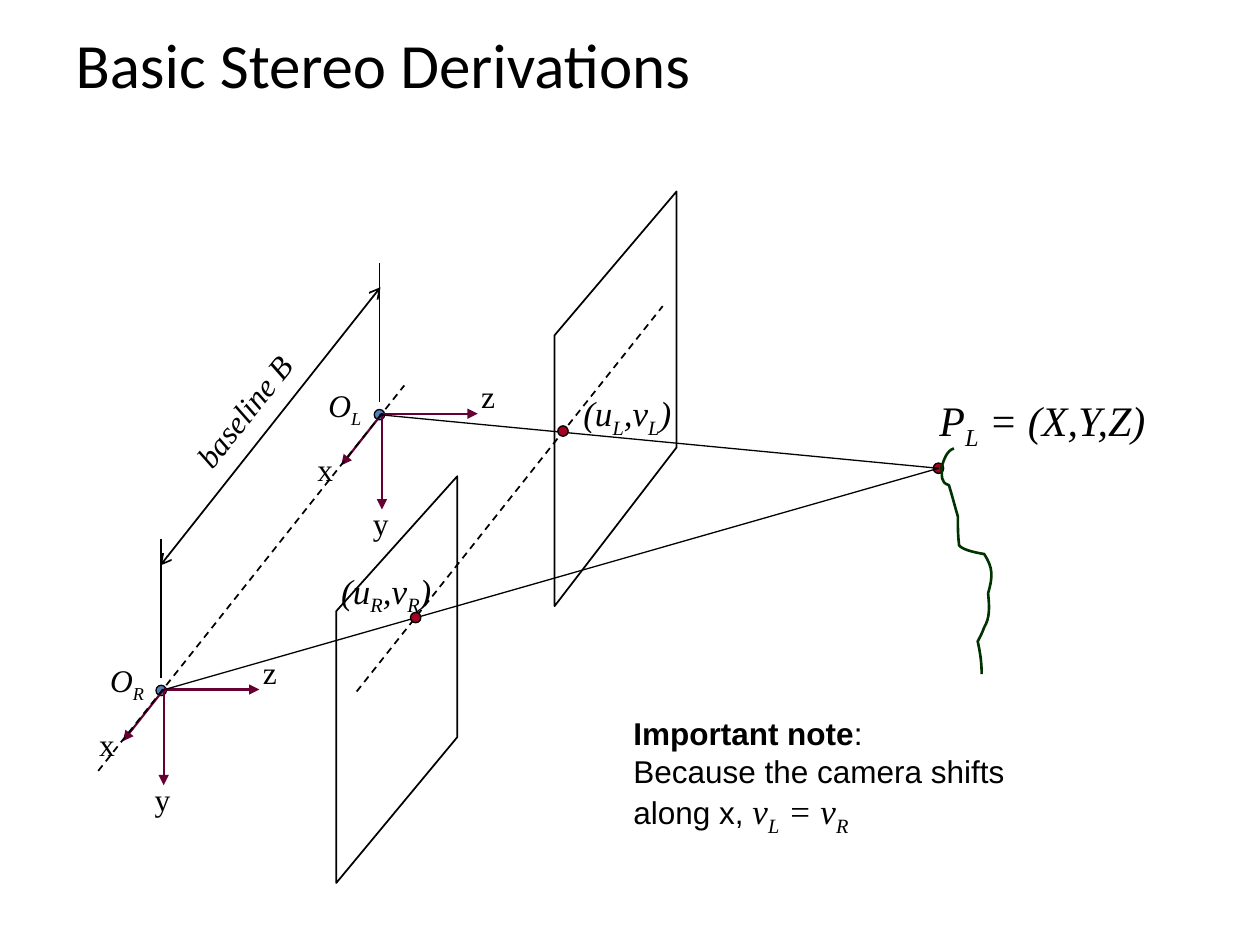
import pptx
import pptx.util
import pptx.dml.color
import pptx.enum.dml
import pptx.enum.shapes
import pptx.enum.text
import pptx.oxml.ns
from lxml import etree

Cm, Pt = pptx.util.Cm, pptx.util.Pt
qn = pptx.oxml.ns.qn
BLACK, RED, BLUE, PLUM, GREEN = "000000", "A50021", "4F81BD", "660033", "003300"
SERIF = "Times New Roman"

# Curve of the object's surface: a start, then two handles and an end per piece
SURFACE = [
    (.28, 0),
    (.13, .05), (.08, .23), (.03, .38),
    (.05, .56), (0, .69), (.18, .74),
    (.25, .97), (.3, 1.17), (.36, 1.37),
    (.36, 1.55), (.36, 1.73), (.38, 1.9),
    (.38, 1.93), (.38, 1.98), (.41, 1.98),
    (.51, 2.06), (.76, 2.11), (.89, 2.13),
    (1.07, 2.41), (1.07, 2.57), (.97, 2.92),
    (.99, 3.15), (1.02, 3.4), (.89, 3.61),
    (.86, 3.71), (.76, 3.89), (.76, 3.89),
    (.81, 4.11), (.84, 4.32), (.84, 4.55),
]


def rgb(code):
    return pptx.dml.color.RGBColor.from_string(code)


def stroke(shape, color, width):
    shape.line.color.rgb = rgb(color)
    shape.line.width = Pt(width)


def link(slide, start, end, color=BLACK, width=1, head=None, tail=None, dash=False):
    """Straight line; head and tail name the arrowheads at start and end."""
    line = slide.shapes.add_connector(
        pptx.enum.shapes.MSO_CONNECTOR.STRAIGHT, *map(Cm, (*start, *end)))
    stroke(line, color, width)
    if dash:
        line.line.dash_style = pptx.enum.dml.MSO_LINE.DASH
    ln = line.line._get_or_add_ln()
    for tag, kind in (("a:headEnd", head), ("a:tailEnd", tail)):
        if kind:
            etree.SubElement(ln, qn(tag), type=kind)
    etree.SubElement(line._element.spPr, qn("a:effectLst"))


def dot(slide, x, y, fill):
    size = .21
    mark = slide.shapes.add_shape(
        pptx.enum.shapes.MSO_SHAPE.OVAL,
        Cm(x - size / 2), Cm(y - size / 2), Cm(size), Cm(size))
    mark.shadow.inherit = False
    mark.fill.solid()
    mark.fill.fore_color.rgb = rgb(fill)
    stroke(mark, BLACK, .75)


def outline(slide, x, y, points, color, width, close):
    spots = [(Cm(x + dx), Cm(y + dy)) for dx, dy in points]
    form = slide.shapes.build_freeform(*spots[0], scale=1.0)
    form.add_line_segments(spots[1:], close=close)
    shape = form.convert_to_shape()
    shape.shadow.inherit = False
    shape.fill.background()
    stroke(shape, color, width)
    return shape


def style(font, name, size, italic=False):
    font.name = name
    font.size = Pt(size)
    font.italic = italic
    font.color.rgb = rgb(BLACK)


def write(para, text):
    """Add runs to the paragraph; parts between underscores are subscripts."""
    runs = []
    for i, part in enumerate(text.split("_")):
        if part:
            run = para.add_run()
            run.text = part
            if i % 2:
                run.font._element.set("baseline", "-25000")
            runs.append(run)
    return runs


def frame(slide, x, y, w, h, wrap=False):
    box = slide.shapes.add_textbox(Cm(x), Cm(y), Cm(w), Cm(h))
    box.text_frame.word_wrap = wrap
    box.text_frame.auto_size = pptx.enum.text.MSO_AUTO_SIZE.SHAPE_TO_FIT_TEXT
    return box


def label(slide, text, x, y, w, h=1.02, size=18, italic=True):
    box = frame(slide, x, y, w, h)
    para = box.text_frame.paragraphs[0]
    write(para, text)
    style(para.font, SERIF, size, italic)
    return box


def title(slide, text, x, y, w, h):
    head = slide.shapes.title
    head.left, head.top, head.width, head.height = map(Cm, (x, y, w, h))
    head.text_frame.text = text
    head.text_frame.vertical_anchor = pptx.enum.text.MSO_ANCHOR.MIDDLE
    para = head.text_frame.paragraphs[0]
    para.alignment = pptx.enum.text.PP_ALIGN.LEFT
    style(para.font, "Calibri", 36)


def camera(slide, x, y, side):
    """Camera centre at x, y with its three axes and the mark above it."""
    dot(slide, x, y, BLUE)
    start = (x + .05, y - .02)
    for dx, dy in ((.05, 1.91), (1.98, -.02), (-.77, 1.02)):
        link(slide, start, (x + dx, y + dy), PLUM, 1.25, tail="triangle")
    label(slide, f"O_{side}_", x - 1.28, y - .71, 1.2)
    for name, dx, dy in (("x", -1.5, .58), ("y", -.38, 1.68), ("z", 1.8, -.89)):
        label(slide, name, x + dx, y + dy, .84, italic=False)
    link(slide, (x, y - .25), (x, y - 3.05))


def plane(slide, x, y, w, h, near, far):
    """Slanted image plane; near is its left top, far its right bottom."""
    corners = [(w, 0), (0, near), (0, h), (w, far)]
    outline(slide, x, y, corners, BLACK, 1, True)


def image(slide, x, y, side, dx, dy):
    """Image point at x, y with its label box at an offset."""
    dot(slide, x, y, RED)
    label(slide, f"(u_{side}_,v_{side}_)", x + dx, y + dy, 2.36, 1.09, 20)


def scene(slide, x, y, eyes):
    """World point at x, y with the surface below it and a ray to each eye."""
    dot(slide, x, y, RED)
    curve = outline(slide, x + .03, y - .4, SURFACE, GREEN, 1.5, False)
    steps = list(curve._element.iter(qn("a:lnTo")))
    for i in range(0, len(steps), 3):
        bend = etree.Element(qn("a:cubicBezTo"))
        steps[i].addprevious(bend)
        for step in steps[i:i + 3]:
            bend.append(step[0])
            step.getparent().remove(step)
    label(slide, "P_L_ = (X,Y,Z)", x - .23, y - 1.62, 4.78, 1.27, 24)
    for eye in eyes:
        link(slide, (x, y), eye, width=.75)


def base(slide, x, y, w, h):
    """Baseline measure across a box, from bottom left to top right."""
    link(slide, (x, y + h), (x + w, y), head="arrow", tail="arrow")
    label(slide, "baseline B", x + .1, y + 1.98, 3.18).rotation = 308.6


def note(slide, x, y, w, h):
    text = frame(slide, x, y, w, h, True).text_frame
    first, last = text.paragraphs[0], text.add_paragraph()
    write(first, "Important note")[0].font.bold = True
    write(first, ":")
    write(last, "Because the camera shifts along x, ")
    for para in (first, last):
        style(para.font, "Arial", 18)
    for run in write(last, "v_L_ = v_R_"):
        style(run.font, SERIF, 20, True)


def main():
    deck = pptx.Presentation()
    deck.slide_width, deck.slide_height = Cm(25.4), Cm(19.05)
    slide = deck.slides.add_slide(deck.slide_layouts[5])
    left, right = (7.65, 8.36), (3.25, 13.92)

    title(slide, "Basic Stereo Derivations", 1.27, 0, 22.86, 2.54)
    camera(slide, *left, "L")
    camera(slide, *right, "R")
    plane(slide, 11.18, 3.86, 2.46, 8.36, 2.9, 5.16)
    plane(slide, 6.78, 9.6, 2.44, 8.2, 2.72, 5.26)
    for x, y in ((1.98, 15.54), (7.19, 13.94)):
        link(slide, (x, y), (x + 6.17, y - 7.77), dash=True)
    scene(slide, 18.92, 9.44, (left, right))
    image(slide, 11.35, 8.69, "L", .16, -.92)
    image(slide, 8.38, 12.45, "R", -1.75, -1.1)
    base(slide, 3.23, 5.79, 4.44, 5.61)
    note(slide, 12.52, 14.27, 8.97, 2.62)
    deck.save("out.pptx")


if __name__ == "__main__":
    main()
